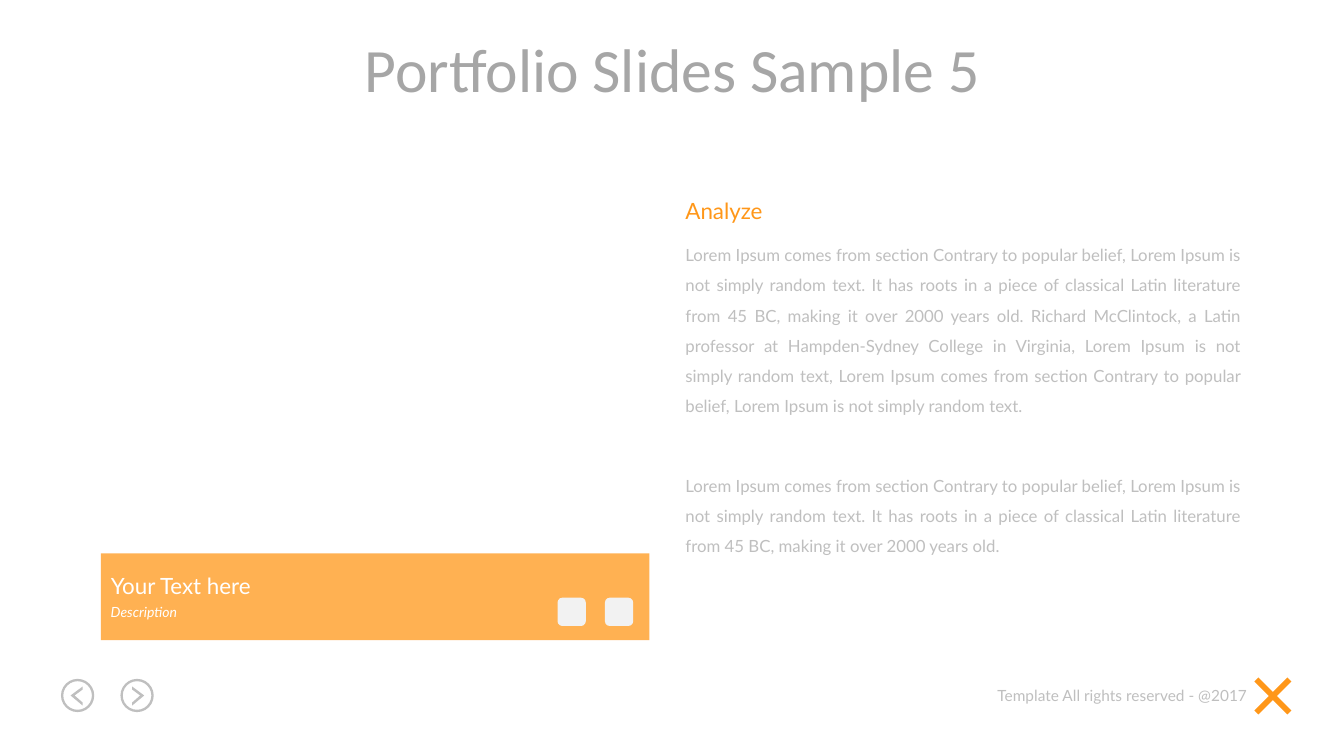
import pptx
import pptx.dml.color
import pptx.enum.shapes
import pptx.enum.text
import pptx.oxml.ns
import pptx.util
from lxml import etree

Inches = pptx.util.Inches
Align = pptx.enum.text.PP_ALIGN
Preset = pptx.enum.shapes.MSO_SHAPE

COLORS = {
    "title": "A6A6A6",
    "muted": "BFBFBF",
    "accent": "FF9719",
    "white": "FFFFFF",
    "icon": "F2F2F2",
}

INTRO = (
    "Lorem Ipsum comes from section Contrary to popular belief, Lorem Ipsum is not simply "
    "random text. It has roots in a piece of classical Latin literature from 45 BC, "
    "making it over 2000 years old."
)
DETAIL = (
    " Richard McClintock, a Latin professor at Hampden-Sydney College in Virginia, Lorem Ipsum "
    "is not simply random text, Lorem Ipsum comes from section Contrary to popular belief, "
    "Lorem Ipsum is not simply random text."
)

STYLES = {
    "title": {"font": {"name": "Calibri", "size": 44}, "color": "title",
              "paragraph": {"alignment": Align.CENTER}, "wrap": False},
    "heading": {"font": {"name": "Lato", "size": 16}, "color": "accent",
                "paragraph": {"alignment": Align.LEFT}, "wrap": False},
    "body": {"font": {"name": "Lato", "size": 12}, "color": "muted",
             "paragraph": {"alignment": Align.JUSTIFY, "line_spacing": 1.5}, "wrap": True},
    "caption": {"font": {"name": "Lato", "size": 16}, "color": "white",
                "paragraph": {"alignment": Align.LEFT}, "wrap": False},
    "description": {"font": {"name": "Lato", "size": 10, "italic": True}, "color": "white",
                    "paragraph": {"alignment": Align.LEFT}, "wrap": False},
    "footer": {"font": {"name": "Lato", "size": 11}, "color": "muted",
               "paragraph": {"alignment": Align.RIGHT}, "wrap": False},
}

FOOTER = ("Template All rights reserved - @2017", "footer", (9.74, 6.76, 2.73, 0.29))
TEXTS = [
    ("Portfolio Slides Sample 5", "title", (3, 0.26, 7.34, 0.84)),
    ("Analyze", "heading", (6.7, 1.91, 0.98, 0.37)),
    (INTRO + DETAIL, "body", (6.7, 2.28, 5.71, 1.92)),
    (INTRO, "body", (6.7, 4.57, 5.71, 1.01)),
    ("Your Text here", "caption", (1, 5.63, 1.68, 0.37)),
    ("Description", "description", (1, 5.94, 0.87, 0.27)),
]

BANNER = (1, 5.49, 5.44, 0.86)
BANNER_OPACITY = 75
EMBLEM = (12.31, 6.59, 0.63, 0.63)
SOCIAL_LEFTS = [5.53, 6]
SOCIAL_TOP, SOCIAL_SIZE = 5.93, 0.28

NAV_CENTER_Y, RING_SIZE = 6.9, 0.33
NAV_BUTTONS = [(0.77, -1), (1.36, 1)]
CHEVRON = [(-0.05, -0.06), (0.03, 0), (-0.05, 0.07), (-0.05, 0.1), (0.07, 0), (-0.05, -0.09)]


def paint(shape, color):
    shape.fill.solid()
    shape.fill.fore_color.rgb = pptx.dml.color.RGBColor.from_string(COLORS[color])
    shape.line.fill.background()
    shape.shadow.inherit = False


def add_preset(slide, preset, box, color):
    shape = slide.shapes.add_shape(preset, *map(Inches, box))
    paint(shape, color)
    return shape


def add_text(slide, text, style_name, box):
    style = STYLES[style_name]
    frame = slide.shapes.add_textbox(*map(Inches, box)).text_frame
    frame.word_wrap = style["wrap"]
    frame.auto_size = pptx.enum.text.MSO_AUTO_SIZE.SHAPE_TO_FIT_TEXT
    paragraph = frame.paragraphs[0]
    for name, value in style["paragraph"].items():
        setattr(paragraph, name, value)
    run = paragraph.add_run()
    run.text = text
    for name, value in style["font"].items():
        setattr(run.font, name, pptx.util.Pt(value) if name == "size" else value)
    run.font.color.rgb = pptx.dml.color.RGBColor.from_string(COLORS[style["color"]])


def add_nav_button(slide, center_x, direction):
    corner = (center_x - RING_SIZE / 2, NAV_CENTER_Y - RING_SIZE / 2)
    ring = add_preset(slide, Preset.DONUT, (*corner, RING_SIZE, RING_SIZE), "muted")
    ring.adjustments[0] = 0.07
    points = [(Inches(center_x + direction * x), Inches(NAV_CENTER_Y + y)) for x, y in CHEVRON]
    builder = slide.shapes.build_freeform(*points[0])
    builder.add_line_segments(points[1:], close=True)
    paint(builder.convert_to_shape(), "muted")


def add_banner(slide):
    banner = add_preset(slide, Preset.RECTANGLE, BANNER, "accent")
    qualified = pptx.oxml.ns.qn
    color = banner.element.spPr.find(".//" + qualified("a:srgbClr"))
    etree.SubElement(color, qualified("a:alpha"), val=str(BANNER_OPACITY * 1000))


def main():
    """Build the portfolio slide and save it."""
    presentation = pptx.Presentation()
    presentation.slide_width = Inches(13.33)
    presentation.slide_height = Inches(7.5)
    slide = presentation.slides.add_slide(presentation.slide_layouts[6])

    add_text(slide, *FOOTER)
    for center_x, direction in NAV_BUTTONS:
        add_nav_button(slide, center_x, direction)
    add_preset(slide, Preset.MATH_MULTIPLY, EMBLEM, "accent").adjustments[0] = 0.09
    add_banner(slide)
    for text, style_name, box in TEXTS:
        add_text(slide, text, style_name, box)
    for left in SOCIAL_LEFTS:
        box = (left, SOCIAL_TOP, SOCIAL_SIZE, SOCIAL_SIZE)
        add_preset(slide, Preset.ROUNDED_RECTANGLE, box, "icon")

    presentation.save("out.pptx")


if __name__ == "__main__":
    main()
